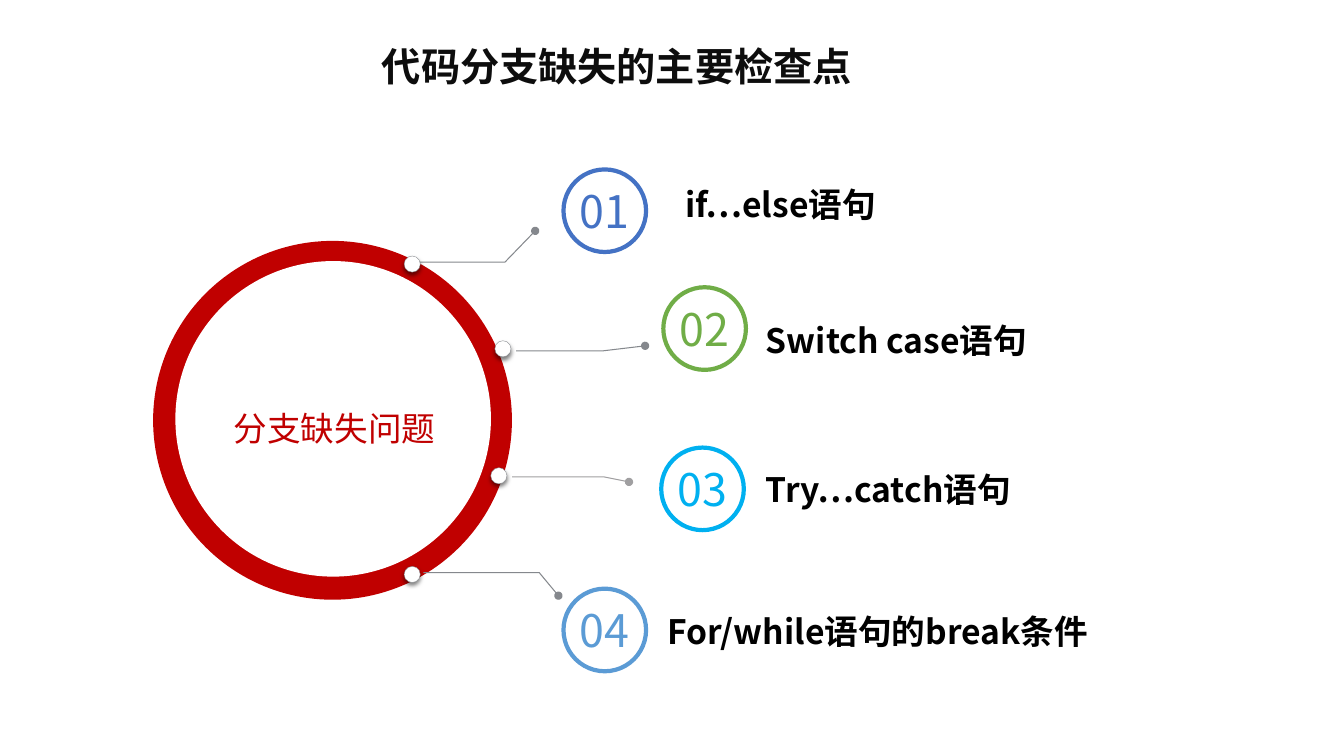
import pptx
import pptx.util
import pptx.dml.color
import pptx.enum.shapes
import pptx.enum.text
import pptx.oxml
import pptx.oxml.ns

Pt = pptx.util.Pt
RGB = pptx.dml.color.RGBColor
ALIGN = pptx.enum.text.PP_ALIGN
ANCHOR = pptx.enum.text.MSO_ANCHOR
FONT = "Noto Sans CJK SC"
RED = RGB(0xC0, 0x00, 0x00)
WHITE = RGB(0xFF, 0xFF, 0xFF)
BLACK = RGB(0x00, 0x00, 0x00)
INK = RGB(0x0D, 0x0D, 0x0D)
GRAY = RGB(0x85, 0x88, 0x8D)
PALE = RGB(0xA0, 0x9F, 0xA1)
BLUE = RGB(0x44, 0x72, 0xC4)
GREEN = RGB(0x70, 0xAD, 0x47)
CYAN = RGB(0x00, 0xB0, 0xF0)
SKY = RGB(0x5B, 0x9B, 0xD5)
NS = pptx.oxml.ns.nsdecls("a")
SHADOW = (f'<a:effectLst {NS}><a:outerShdw blurRad="38100" dist="25400" dir="5400000">'
          '<a:srgbClr val="000000"><a:alpha val="50000"/></a:srgbClr>'
          '</a:outerShdw></a:effectLst>')


def circle(left, top, size, fill=None, line=None, width=0):
    disc = shapes.add_shape(pptx.enum.shapes.MSO_SHAPE.OVAL,
                            Pt(left), Pt(top), Pt(size), Pt(size))
    disc.shadow.inherit = False
    if fill is None:
        disc.fill.background()
    else:
        disc.fill.solid()
        disc.fill.fore_color.rgb = fill
    if line is None:
        disc.line.fill.background()
    else:
        disc.line.color.rgb = line
        disc.line.width = Pt(width)
    return disc


def write(shape, text, size, color, bold=False, inset=None, anchor=ANCHOR.TOP):
    """Put one styled line into a shape; inset is the left margin, the rest zero."""
    frame = shape.text_frame
    frame.text = text
    frame.word_wrap = False
    frame.vertical_anchor = anchor
    if inset is not None:
        frame.margin_left = Pt(inset)
        frame.margin_top = frame.margin_right = frame.margin_bottom = 0
    font = frame.paragraphs[0].runs[0].font
    font.name, font.size, font.bold = FONT, Pt(size), bold
    font.color.rgb = color
    font._element.append(pptx.oxml.parse_xml(f'<a:ea {NS} typeface="{FONT}"/>'))


deck = pptx.Presentation()
deck.slide_width, deck.slide_height = Pt(960), Pt(540)
shapes = deck.slides.add_slide(deck.slide_layouts[6]).shapes

# Big ring
circle(109.4, 172.1, 256.3, RED)
circle(125.3, 186.5, 225.4, WHITE)

# Per item: colour, badge corner, label corner, text, knob corner, lead
# points, lead colour
items = [
    (BLUE, (402.5, 121), (461.5, 138.2), "if…else语句", (288.7, 182.9),
     [(299.5, 187.2), (360.7, 187.2), (382.3, 164.9)], GRAY),
    (GREEN, (473.8, 205.2), (519.1, 234.7), "Switch case语句", (353.5, 243.4),
     [(368.6, 250.6), (430.6, 250.6), (460.8, 247)], GRAY),
    (CYAN, (472.3, 319.7), (519.1, 341.3), "Try…catch语句", (350.6, 334.1),
     [(365.8, 340.6), (431.3, 340.6), (449.3, 344.2)], PALE),
    (SKY, (402.5, 420.5), (448.6, 442.8), "For/while语句的break条件", (288.7, 404.6),
     [(302.4, 409), (385.2, 409), (398.9, 425.5)], GRAY),
]
for num, (color, badge, spot, text, knob, lead, tone) in enumerate(items, 1):
    disc = circle(*badge, 59, line=color, width=3)
    write(disc, f"{num:02}", 32, color, inset=0, anchor=ANCHOR.MIDDLE)
    disc.text_frame.paragraphs[0].alignment = ALIGN.CENTER

    label = shapes.add_textbox(Pt(spot[0]), Pt(spot[1]), Pt(366.5), Pt(22.3))
    write(label, text, 24, BLACK, True, 28, ANCHOR.BOTTOM)

    points = [(Pt(x), Pt(y)) for x, y in lead]
    path = shapes.build_freeform(*points[0])
    path.add_line_segments(points[1:], close=False)
    wire = path.convert_to_shape()
    wire.shadow.inherit = False
    wire.fill.background()
    wire.line.color.rgb = tone
    wire.line.width = Pt(0.75)
    wire.line._get_or_add_ln().append(
        pptx.oxml.parse_xml(f'<a:tailEnd {NS} type="oval"/>'))

    dot = circle(*knob, 11.5, WHITE, GRAY, 0.25)
    props = dot._element.spPr
    props.remove(props.find(pptx.oxml.ns.qn("a:effectLst")))
    props.append(pptx.oxml.parse_xml(SHADOW))

center = shapes.add_textbox(Pt(159.8), Pt(288), Pt(159.8), Pt(36))
write(center, "分支缺失问题", 24, RED)
title = shapes.add_textbox(Pt(265.7), Pt(26.6), Pt(353.5), Pt(41))
write(title, "代码分支缺失的主要检查点", 28, INK, True)

deck.save("out.pptx")
